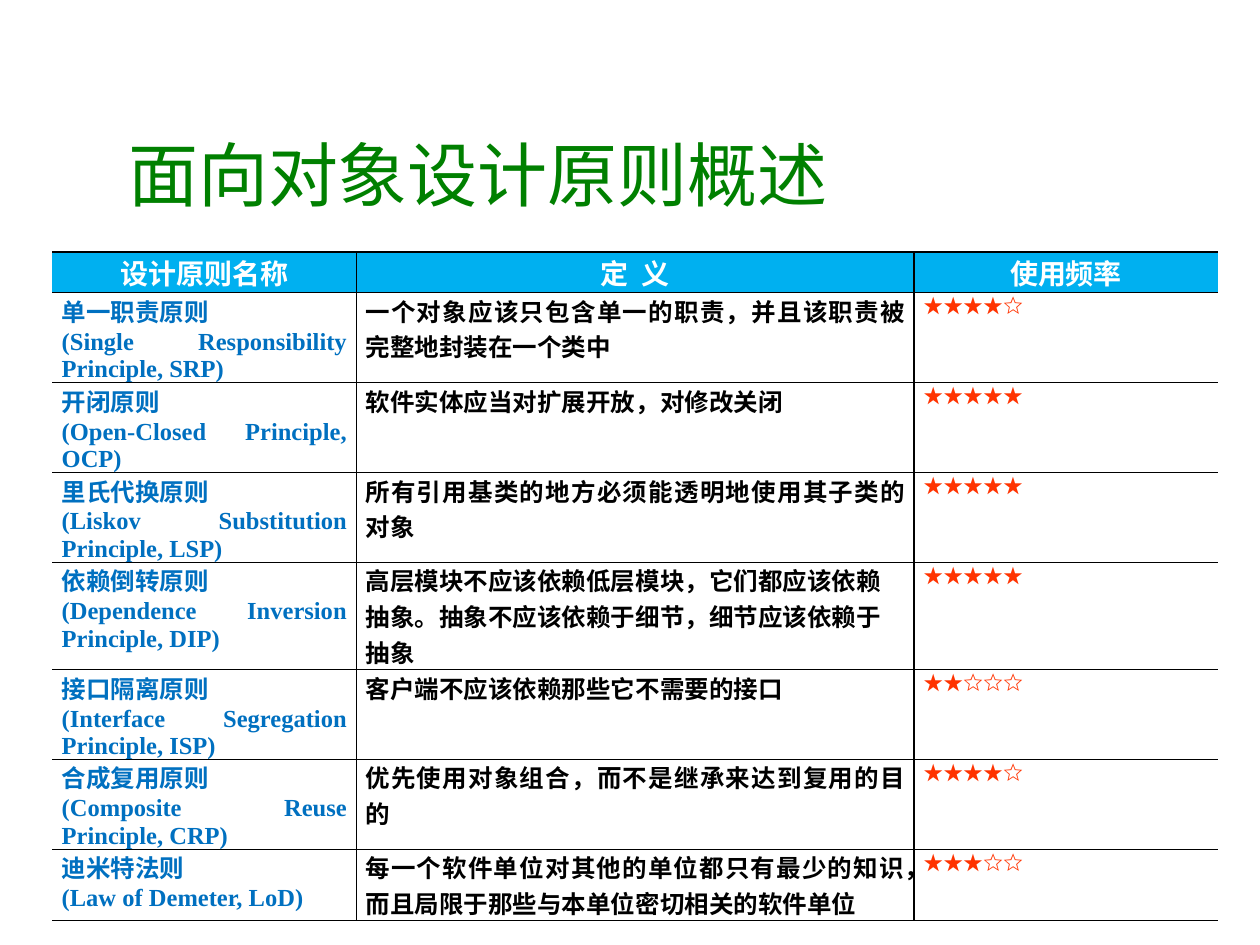
from dataclasses import dataclass

from lxml import etree
from pptx import Presentation
from pptx import util as u
from pptx.dml.color import RGBColor
from pptx.enum import text
from pptx.oxml.ns import qn


@dataclass(frozen=True)
class Theme:
    """Colours, fonts and type sizes of the slide."""
    title_color: str = "008000"
    header_fill: str = "00B0F0"
    white: str = "FFFFFF"
    name_color: str = "0070C0"
    ink: str = "000000"
    star_color: str = "FF3300"
    title_font: str = "Cabin"
    body_font: str = "Times New Roman"
    title_size: int = 40
    header_size: int = 16
    body_size: int = 14


class SlideBuilder:
    """Holds the theme and the slide being filled."""

    def __init__(self, theme, slide):
        """Remember the theme and the slide."""
        self.theme = theme
        self.slide = slide

    def style(self, paragraph, font, size, color, bold=False, align=None):
        """Set the font and alignment of a paragraph."""
        paragraph.font.name = font
        paragraph.font.size = u.Pt(size)
        paragraph.font.bold = bold
        paragraph.font.color.rgb = RGBColor.from_string(color)
        paragraph.alignment = align

    def title(self, words, left, top, width, height):
        """Add the heading."""
        heading = self.slide.shapes.add_textbox(*map(u.Pt, (left, top, width, height)))
        frame = heading.text_frame
        frame.word_wrap = True
        frame.vertical_anchor = text.MSO_ANCHOR.MIDDLE
        frame.text = words
        t = self.theme
        self.style(frame.paragraphs[0], t.title_font, t.title_size, t.title_color)

    def borders(self, cell, sides):
        """Draw 1 pt lines on the named sides and none on the others."""
        properties = cell._tc.get_or_add_tcPr()
        for place, side in enumerate("LRTB"):
            line = etree.Element(qn(f"a:ln{side}"), w=str(u.Pt(1)))
            if side in sides:
                fill = etree.SubElement(line, qn("a:solidFill"))
                etree.SubElement(fill, qn("a:srgbClr"), val=self.theme.ink)
            else:
                etree.SubElement(line, qn("a:noFill"))
            properties.insert(place, line)

    def cell(self, cell, words, fill, sides, size, color, bold, align):
        """Fill one table cell with styled text."""
        cell.margin_left = cell.margin_right = u.Pt(5.3)
        cell.margin_top = cell.margin_bottom = 0
        cell.fill.solid()
        cell.fill.fore_color.rgb = RGBColor.from_string(fill)
        self.borders(cell, sides)
        cell.text = words
        for paragraph in cell.text_frame.paragraphs:
            self.style(paragraph, self.theme.body_font, size, color, bold, align)

    def table(self, header, rows, left, top, widths, heights):
        """Add the table of principles."""
        t = self.theme
        grid = self.slide.shapes.add_table(
            len(rows) + 1, len(header),
            *map(u.Pt, (left, top, sum(widths), sum(heights)))).table
        grid.first_row = grid.horz_banding = False
        for column, width in zip(grid.columns, widths):
            column.width = u.Pt(width)
        for row, height in zip(grid.rows, heights):
            row.height = u.Pt(height)

        column_styles = [("RTB", t.name_color, True),
                         ("LRTB", t.ink, True),
                         ("LTB", t.star_color, False)]
        for r, row in enumerate([header, *rows]):
            for c, (words, (sides, color, bold)) in enumerate(zip(row, column_styles)):
                if r == 0:
                    self.cell(grid.cell(r, c), words, t.header_fill, sides,
                              t.header_size, t.white, True, text.PP_ALIGN.CENTER)
                else:
                    ragged = (r, c) == LEFT_ALIGNED
                    align = text.PP_ALIGN.LEFT if ragged else text.PP_ALIGN.JUSTIFY
                    self.cell(grid.cell(r, c), words, t.white, sides,
                              t.body_size, color, bold, align)


def stars(count):
    """Show a rating out of five."""
    return "★" * count + "☆" * (5 - count)


HEADER = ("设计原则名称", "定  义", "使用频率")
LEFT_ALIGNED = (4, 1)
PRINCIPLES = [
    ("单一职责原则", "Single Responsibility Principle, SRP",
     "一个对象应该只包含单一的职责，并且该职责被完整地封装在一个类中", 4),
    ("开闭原则", "Open-Closed Principle, OCP",
     "软件实体应当对扩展开放，对修改关闭", 5),
    ("里氏代换原则", "Liskov Substitution Principle, LSP",
     "所有引用基类的地方必须能透明地使用其子类的对象", 5),
    ("依赖倒转原则", "Dependence Inversion Principle, DIP",
     "高层模块不应该依赖低层模块，它们都应该依赖抽象。抽象不应该依赖于细节，细节应该依赖于抽象", 5),
    ("接口隔离原则", "Interface Segregation Principle, ISP",
     "客户端不应该依赖那些它不需要的接口", 2),
    ("合成复用原则", "Composite Reuse Principle, CRP",
     "优先使用对象组合，而不是继承来达到复用的目的", 4),
    ("迪米特法则", "Law of Demeter, LoD",
     "每一个软件单位对其他的单位都只有最少的知识，而且局限于那些与本单位密切相关的软件单位", 3),
]
HEADER_HEIGHT, THREE_LINES, TALL_ROW, TWO_LINES = 23.2, 51.4, 61.2, 40.6


def main():
    """Build and save the slide."""
    deck = Presentation()
    deck.slide_width, deck.slide_height = u.Pt(720), u.Pt(540)
    builder = SlideBuilder(Theme(), deck.slides.add_slide(deck.slide_layouts[6]))
    builder.title("面向对象设计原则概述", 66.2, 72, 498, 54)
    rows = [(f"{name}\n({english})", definition, stars(rating))
            for name, english, definition, rating in PRINCIPLES]
    builder.table(HEADER, rows, 30, 144, widths=(173.6, 318.8, 173.6),
                  heights=(HEADER_HEIGHT, *[THREE_LINES] * 3, TALL_ROW,
                           *[THREE_LINES] * 2, TWO_LINES))
    deck.save("out.pptx")


main()
